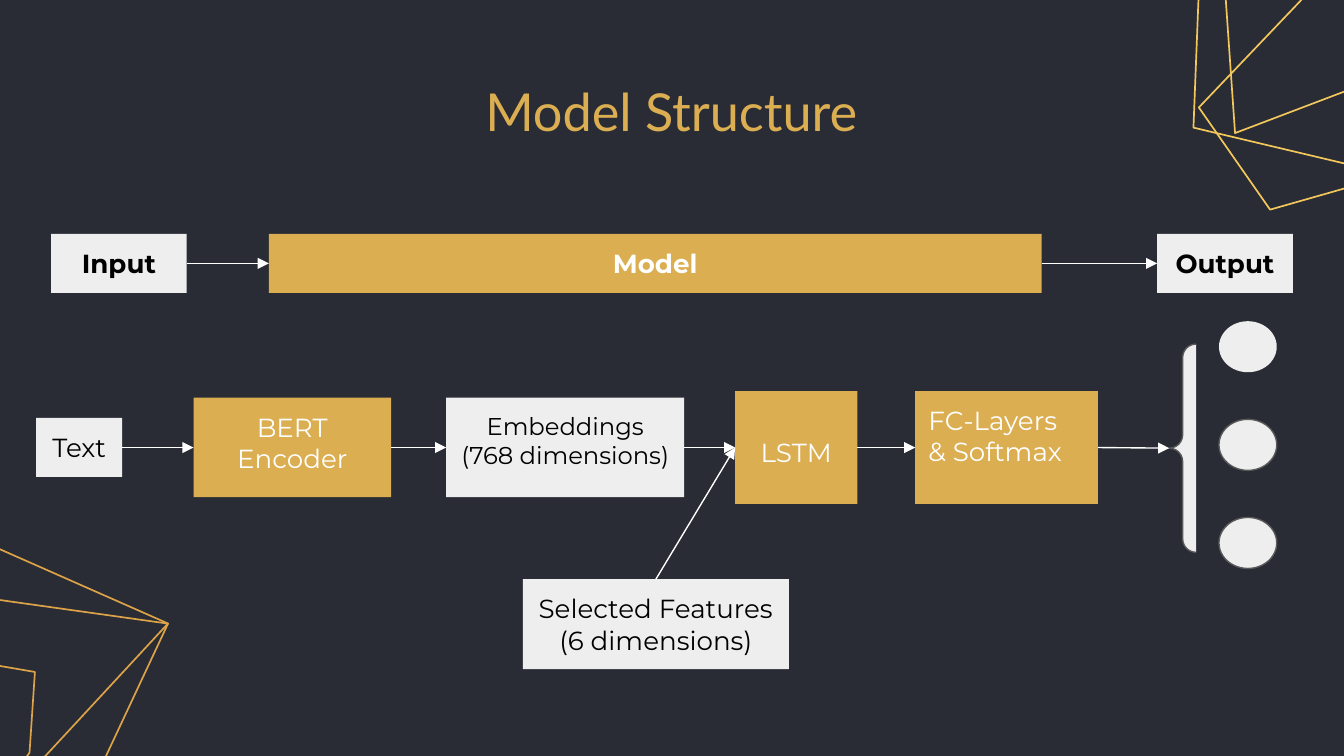
from dataclasses import dataclass
from lxml.etree import SubElement
from pptx import Presentation
from pptx.dml.color import RGBColor
from pptx.enum.shapes import MSO_CONNECTOR as Conn, MSO_SHAPE as Shape
from pptx.enum.text import MSO_ANCHOR as Anchor, PP_ALIGN as Align
from pptx.oxml.ns import qn
from pptx.util import Inches, Pt


@dataclass(frozen=True)
class Theme:
    back: str = "292C35"
    gold: str = "DCAE52"
    light: str = "EEEEEE"
    white: str = "FFFFFF"
    black: str = "000000"
    edge: str = "595959"
    glow: str = "F3C75C"
    amber: str = "DCA348"
    head: str = "Lato"
    body: str = "Montserrat"
    title: float = 28
    label: float = 14
    small: float = 13
    line: float = 0.75
    wire: float = 0.9


THEME = Theme()
TOP, LEFT, BASE, RIGHT = range(4)

# Corners of the wire outlines, in inches on the page
WIRES = {
    THEME.glow: [
        [(9.19, 0.99), (9.02, -1.45), (12.02, -1.03), (11.48, 0.12)],
        [(8.88, 0.95), (8.93, -0.32), (10.71, -0.96), (11.69, -0.81),
         (11.66, -0.19), (10.65, 1.37)],
        [(9.45, 1.56), (8.92, 0.8), (10.74, -1.11), (12.2, -0.5), (10.68, 1.21)],
    ],
    THEME.amber: [
        [(-2.47, 6.62), (-2.39, 5.41), (-0.67, 4.84), (0.26, 5), (0.22, 5.6),
         (-0.79, 7.06)],
        [(-1.43, 6.56), (-1.93, 5.81), (-0.13, 4.03), (1.25, 4.64), (-0.24, 6.25)],
        [(-1.43, 6.56), (-1.6, 4.24), (1.25, 4.64), (0.74, 5.73)],
    ],
}


def color(code):
    return RGBColor.from_string(code)


def stroke(line, code, width=THEME.line):
    line.color.rgb = color(code)
    line.width = Pt(width)


def write(shape, text, ink, size=THEME.label, font=THEME.body, bold=False,
          align=Align.CENTER, anchor=Anchor.TOP, inset=0.1):
    """Fill a shape with text, one paragraph a line; inset is the top margin."""
    frame = shape.text_frame
    side = Inches(0.1)
    form = dict(word_wrap=True, vertical_anchor=anchor, margin_left=side,
                margin_right=side, margin_bottom=side, margin_top=Inches(inset))
    for name, value in form.items():
        setattr(frame, name, value)
    frame.text = text
    for para in frame.paragraphs:
        para.alignment = align
        for run in para.runs:
            for name, value in dict(name=font, size=Pt(size), bold=bold).items():
                setattr(run.font, name, value)
            run.font.color.rgb = color(ink)


def add_form(slide, kind, box, fill, edge=None):
    shape = slide.shapes.add_shape(kind, *map(Inches, box))
    shape.shadow.inherit = False
    shape.fill.solid()
    shape.fill.fore_color.rgb = color(fill)
    if edge:
        stroke(shape.line, edge)
    else:
        shape.line.fill.background()
    return shape


def add_block(slide, box, text, fill=THEME.light, **form):
    shape = add_form(slide, Shape.RECTANGLE, box, fill)
    ink = THEME.white if fill == THEME.gold else THEME.black
    write(shape, text, ink, **form)
    return shape


def add_arrow(slide, start, end, out=RIGHT):
    """Join a side of start to the left side of end."""
    link = slide.shapes.add_connector(Conn.STRAIGHT, 0, 0, 0, 0)
    link.begin_connect(start, out)
    link.end_connect(end, LEFT)
    stroke(link.line, THEME.white)
    SubElement(link.line._get_or_add_ln(), qn("a:tailEnd"), type="triangle")
    SubElement(link._element.spPr, qn("a:effectLst"))


def add_wires(slide):
    for code, shapes in WIRES.items():
        for corners in shapes:
            first, *rest = [(Inches(x), Inches(y)) for x, y in corners]
            build = slide.shapes.build_freeform(*first)
            build.add_line_segments(rest, close=True)
            wire = build.convert_to_shape()
            wire.shadow.inherit = False
            wire.fill.background()
            stroke(wire.line, code, THEME.wire)


def add_title(slide, box):
    text = slide.shapes.add_textbox(*map(Inches, box))
    write(text, "Model Structure", THEME.gold, THEME.title, THEME.head,
          anchor=Anchor.MIDDLE)


def add_stages(slide, box):
    """Row of input, model and output."""
    left, top, width, height = box
    end = 1.01
    parts = [
        (0, end, "Input", THEME.light),
        (1.62, 5.75, "Model", THEME.gold),
        (width - end, end, "Output", THEME.light),
    ]
    row = [add_block(slide, (left + x, top, wide, height), text, fill, bold=True)
           for x, wide, text, fill in parts]
    for pair in zip(row, row[1:]):
        add_arrow(slide, *pair)


def add_classes(slide, box):
    """Brace and three output dots; returns the brace."""
    left, top, width, height = box
    dot, tall, step = 0.43, 0.38, 0.73
    brace = add_form(slide, Shape.LEFT_BRACE, (left, top + 0.17, 0.2, 1.55),
                     THEME.light, THEME.edge)
    brace.adjustments[0] = brace.adjustments[1] = 0.5
    for i in range(3):
        place = (left + width - dot, top + i * step, dot, tall)
        add_form(slide, Shape.OVAL, place, THEME.light, THEME.edge if i else None)
    return brace


def add_flow(slide, box, goal):
    """Pipeline from text to the goal, with the extra features below."""
    left, top, width, height = box
    mid = top + 0.42
    parts = [
        (0, 0.64, 0.44, "Text", THEME.light, {}),
        (1.17, 1.47, 0.74, "BERT Encoder", THEME.gold, {}),
        (3.05, 1.77, 0.74, "Embeddings\n(768 dimensions)", THEME.light,
         dict(size=THEME.small)),
        (5.2, 0.91, 0.84, "LSTM", THEME.gold, dict(inset=0.34)),
        (6.54, 1.36, 0.84, "FC-Layers\n& Softmax", THEME.gold,
         dict(align=Align.LEFT)),
    ]
    row = [add_block(slide, (left + x, mid - tall / 2, wide, tall), text, fill, **form)
           for x, wide, tall, text, fill, form in parts]
    extra = add_block(slide, (left + 3.62, top + height - 0.67, 1.98, 0.67),
                      "Selected Features\n(6 dimensions)")
    row.append(goal)
    for pair in zip(row, row[1:]):
        add_arrow(slide, *pair)
    add_arrow(slide, extra, row[3], TOP)


def main():
    deck = Presentation()
    deck.slide_width = Inches(10)
    deck.slide_height = deck.slide_width * 9 // 16
    slide = deck.slides.add_slide(deck.slide_layouts[6])
    slide.background.fill.solid()
    slide.background.fill.fore_color.rgb = color(THEME.back)
    add_wires(slide)
    add_title(slide, (2.18, 0.59, 5.63, 0.47))
    add_stages(slide, (0.38, 1.74, 9.24, 0.44))
    brace = add_classes(slide, (8.7, 2.39, 0.8, 1.84))
    add_flow(slide, (0.27, 2.91, 7.9, 2.07), brace)
    deck.save("out.pptx")


if __name__ == "__main__":
    main()
